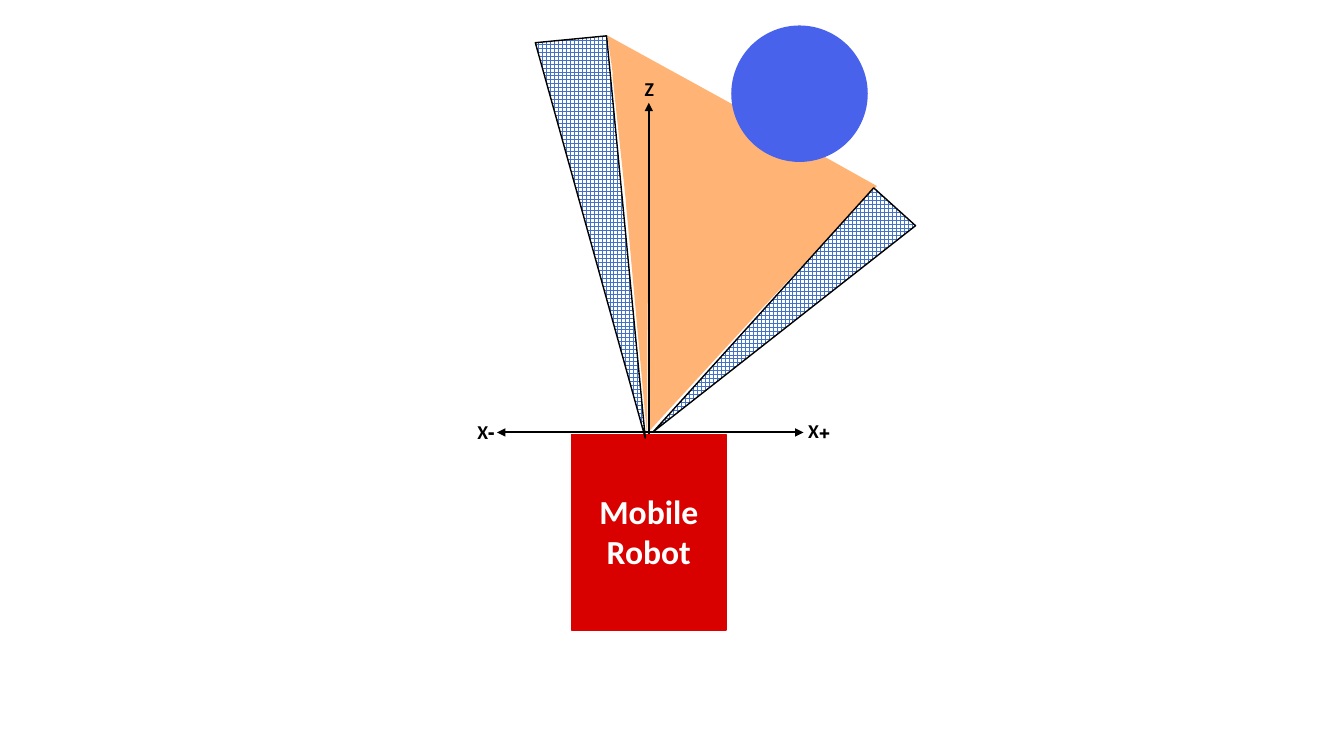
from dataclasses import dataclass
from lxml.etree import SubElement
from pptx import Presentation
from pptx.dml.color import RGBColor
from pptx.enum.dml import MSO_PATTERN
from pptx.enum.shapes import MSO_CONNECTOR, MSO_SHAPE
from pptx.enum.text import MSO_AUTO_SIZE, PP_ALIGN
from pptx.oxml.ns import qn
from pptx.util import Inches, Pt


@dataclass(frozen=True)
class Theme:
    font: str = "Calibri"
    title: int = 24
    label: int = 14
    black: str = "000000"
    white: str = "FFFFFF"
    view: str = "FFB476"
    robot: str = "D90100"
    edge: str = "DD0000"
    ball: str = "4862EC"
    mesh: str = "4472C4"


class Canvas:
    """Draws on one slide; lengths are columns and rows of a 0.1 inch grid."""

    cell = Inches(0.1)

    def __init__(self, slide, theme):
        self.shapes = slide.shapes
        self.theme = theme

    def span(self, *cells):
        return [round(n * self.cell) for n in cells]

    def shape(self, kind, box, fill=None, line=None, turn=0, adj=None, flip=False):
        item = self.shapes.add_shape(kind, *self.span(*box))
        item.shadow.inherit = False
        item.rotation = turn
        if adj is not None:
            item.adjustments[0] = adj
        if flip:
            item.element.spPr.find(qn("a:xfrm")).set("flipH", "1")
        if fill:
            item.fill.solid()
            item.fill.fore_color.rgb = RGBColor.from_string(fill)
        if line:
            item.line.color.rgb = RGBColor.from_string(line)
            item.line.width = Pt(1)
        else:
            item.line.fill.background()
        return item

    def wedge(self, box, turn, flip=False):
        look = self.theme
        item = self.shape(MSO_SHAPE.RIGHT_TRIANGLE, box, None, look.black, turn, flip=flip)
        item.fill.patterned()
        item.fill.pattern = MSO_PATTERN.LARGE_GRID
        item.fill.fore_color.rgb = RGBColor.from_string(look.mesh)
        item.fill.back_color.rgb = RGBColor.from_string(look.white)

    def text(self, words, box, size, color):
        frame = self.shapes.add_textbox(*self.span(*box)).text_frame
        frame.word_wrap = True
        frame.auto_size = MSO_AUTO_SIZE.SHAPE_TO_FIT_TEXT
        frame.text = words
        for para in frame.paragraphs:
            para.alignment = PP_ALIGN.CENTER
            para._p.get_or_add_pPr().set("rtl", "1")
            for run in para.runs:
                run.font.name = self.theme.font
                run.font.size = Pt(size)
                run.font.bold = True
                run.font.color.rgb = RGBColor.from_string(color)

    def arrow(self, start, end, tips):
        item = self.shapes.add_connector(MSO_CONNECTOR.STRAIGHT, *self.span(*start, *end))
        item.line.color.rgb = RGBColor.from_string(self.theme.black)
        item.line.width = Pt(1.5)
        props = item.element.spPr
        for tip in tips:
            SubElement(props.find(qn("a:ln")), qn(f"a:{tip}"), type="triangle")
        SubElement(props, qn("a:effectLst"))
        return item


def main():
    deck = Presentation()
    deck.slide_width, deck.slide_height = Inches(13.33), Inches(7.5)
    theme = Theme()
    page = Canvas(deck.slides.add_slide(deck.slide_layouts[6]), theme)

    # Field of view, pieced together from overlapping shapes
    peak, trap = MSO_SHAPE.ISOSCELES_TRIANGLE, MSO_SHAPE.TRAPEZOID
    for kind, box, turn, adj in (
        (peak, (54, 6.1, 16.3, 21.7), 208.8, 0),
        (trap, (62.2, 12, 22.4, 15.6), 209.2, None),
        (trap, (61.1, 7.3, 3.7, 15.6), 177.3, None),
        (peak, (62.6, 19.9, 2.1, 23.4), 177.4, None),
        (peak, (59.7, 22.1, 16.9, 21.5), 201.1, None),
    ):
        page.shape(kind, box, theme.view, turn=turn, adj=adj)

    # Robot and ball
    robot = page.shape(MSO_SHAPE.ROUNDED_RECTANGLE, (56.7, 43.1, 15.3, 19.4),
                       theme.robot, theme.edge, adj=0)
    page.shape(MSO_SHAPE.OVAL, (72.6, 2.6, 13.4, 13.4), theme.ball, theme.ball)
    page.text("Mobile\nRobot", (57.7, 48.2, 13.3, 9.1), theme.title, theme.white)

    # Axes
    page.arrow((79.7, 42.9), (49.3, 42.9), ("headEnd", "tailEnd"))
    rise = page.arrow((64.35, 43.1), (64.35, 10.2), ("tailEnd",))
    rise.begin_connect(robot, 0)
    for name, box in (
        ("Z", (62.6, 7.1, 3.6, 3.4)),
        ("+X", (78.9, 41.1, 4.7, 3.4)),
        ("-X", (45.5, 41.2, 5.4, 3.4)),
    ):
        page.text(name, box, theme.label, theme.black)

    # Meshed wedges at both edges of the view
    page.wedge((75, 16.3, 5.6, 32.6), 222.1, flip=True)
    page.wedge((55, 3.8, 7.1, 40.1), 174.5)

    deck.save("out.pptx")


if __name__ == "__main__":
    main()
